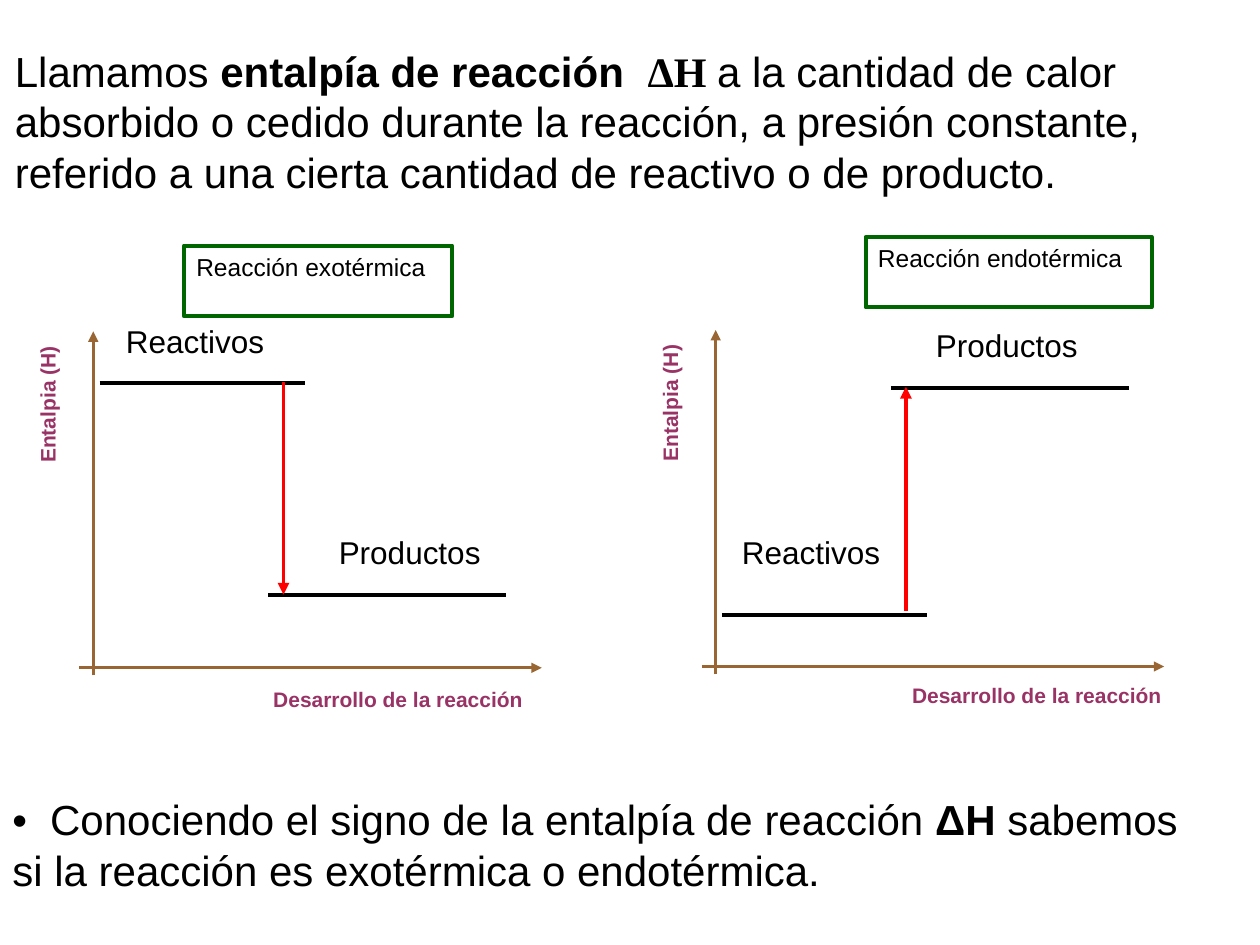
"""Slide on reaction enthalpy with exothermic and endothermic diagrams."""
from lxml import etree
from pptx import Presentation, util as u
from pptx.dml.color import RGBColor
from pptx.enum import shapes, text
from pptx.oxml.ns import qn

BLACK = RGBColor(0x00, 0x00, 0x00)
GREEN = RGBColor(0x00, 0x66, 0x00)
BROWN = RGBColor(0x99, 0x66, 0x33)
PLUM = RGBColor(0x99, 0x33, 0x66)
RED = RGBColor(0xFF, 0x00, 0x00)

INTRO = [
    ("Llamamos ", False, "Arial"),
    ("entalpía de reacción  ", True, "Arial"),
    ("ΔH ", True, "Times New Roman"),
    ("a la cantidad de calor absorbido o cedido durante la reacción, a presión "
     "constante, referido a una cierta cantidad de reactivo o de producto.", False, "Arial"),
]
CLOSING = [
    ("•\tConociendo el signo de la entalpía de reacción ", False, "Arial"),
    ("ΔH", True, "Arial"),
    (" sabemos si la reacción es exotérmica o endotérmica.", False, "Arial"),
]
DIAGRAMS = [
    {"title": "Reacción exotérmica", "frame": (1.46, 1.95, 2.13, 0.56),
     "origin": (0.74, 5.3), "caption": (2.07, 5.4), "arrow": (3.03, 4.72),
     "levels": [("Reactivos", 3.04, (0.9, 2.51)), ("Productos", 4.72, (2.59, 4.18))]},
    {"title": "Reacción endotérmica", "frame": (6.87, 1.88, 2.27, 0.56),
     "origin": (5.68, 5.29), "caption": (7.14, 5.37), "arrow": (4.85, 3.07),
     "levels": [("Reactivos", 4.88, (5.79, 4.18)), ("Productos", 3.08, (7.33, 2.54))]},
]
LEVEL_SPANS = [(0.05, 1.68), (1.39, 3.28)]
ARROW_X = 1.51


def write(sp, runs, size, color=BLACK, align=text.PP_ALIGN.LEFT):
    tf = sp.text_frame
    tf.word_wrap = True
    tf.vertical_anchor = text.MSO_ANCHOR.TOP
    p = tf.paragraphs[0]
    p.alignment = align
    for words, bold, face in runs:
        r = p.add_run()
        r.text = words
        r.font.name, r.font.size, r.font.bold = face, u.Pt(size), bold
        r.font.color.rgb = color
    return tf


def add_text(s, box, runs, size, **style):
    sp = s.shapes.add_textbox(*map(u.Inches, box))
    write(sp, runs, size, **style)
    return sp


def add_line(s, start, end, color, width, arrow=False):
    sp = s.shapes.add_connector(shapes.MSO_CONNECTOR.STRAIGHT, *map(u.Inches, start + end))
    sp.line.color.rgb, sp.line.width = color, u.Pt(width)
    if arrow:
        etree.SubElement(sp.line._get_or_add_ln(), qn("a:tailEnd"), type="triangle")
    etree.SubElement(sp._element.spPr, qn("a:effectLst"))


def add_diagram(s, d):
    x, y = d["origin"]
    frame = s.shapes.add_shape(shapes.MSO_SHAPE.RECTANGLE, *map(u.Inches, d["frame"]))
    frame.shadow.inherit = False
    frame.fill.background()
    frame.line.color.rgb, frame.line.width = GREEN, u.Pt(2.25)
    write(frame, [(d["title"], False, "Arial")], 14)

    label = add_text(s, (x - 1.19, y - 2.28, 1.83, 0.38), [("Entalpia (H)", True, "Arial")],
                     12, color=PLUM, align=text.PP_ALIGN.CENTER)
    label.rotation = 270
    label.text_frame.margin_top = 0
    add_text(s, d["caption"] + (2.51, 0.46), [("Desarrollo de la reacción", True, "Arial")],
             12, color=PLUM)

    add_line(s, (x, y + 0.06), (x, y - 2.67), BROWN, 1.5, arrow=True)
    add_line(s, (x - 0.11, y), (x + 3.56, y), BROWN, 1.5, arrow=True)
    for (name, level, corner), (left, right) in zip(d["levels"], LEVEL_SPANS):
        add_line(s, (x + left, level), (x + right, level), BLACK, 2.25)
        add_text(s, corner + (1.45, 0.62), [(name, False, "Arial")], 18)
    start, end = d["arrow"]
    add_line(s, (x + ARROW_X, start), (x + ARROW_X, end), RED, 2.25, arrow=True)


def main():
    prs = Presentation()
    prs.slide_width, prs.slide_height = u.Inches(10), u.Inches(7.5)
    s = prs.slides.add_slide(prs.slide_layouts[6])
    add_text(s, (0.02, 0.31, 9.98, 1.31), INTRO, 24)
    for d in DIAGRAMS:
        add_diagram(s, d)
    closing = add_text(s, (0, 6.25, 9.73, 0.91), CLOSING, 24)
    pPr = closing.text_frame.paragraphs[0]._p.get_or_add_pPr()
    tabs = etree.SubElement(pPr, qn("a:tabLst"))
    etree.SubElement(tabs, qn("a:tab"), pos=str(u.Inches(0.3)), algn="l")
    prs.save("out.pptx")


if __name__ == "__main__":
    main()
